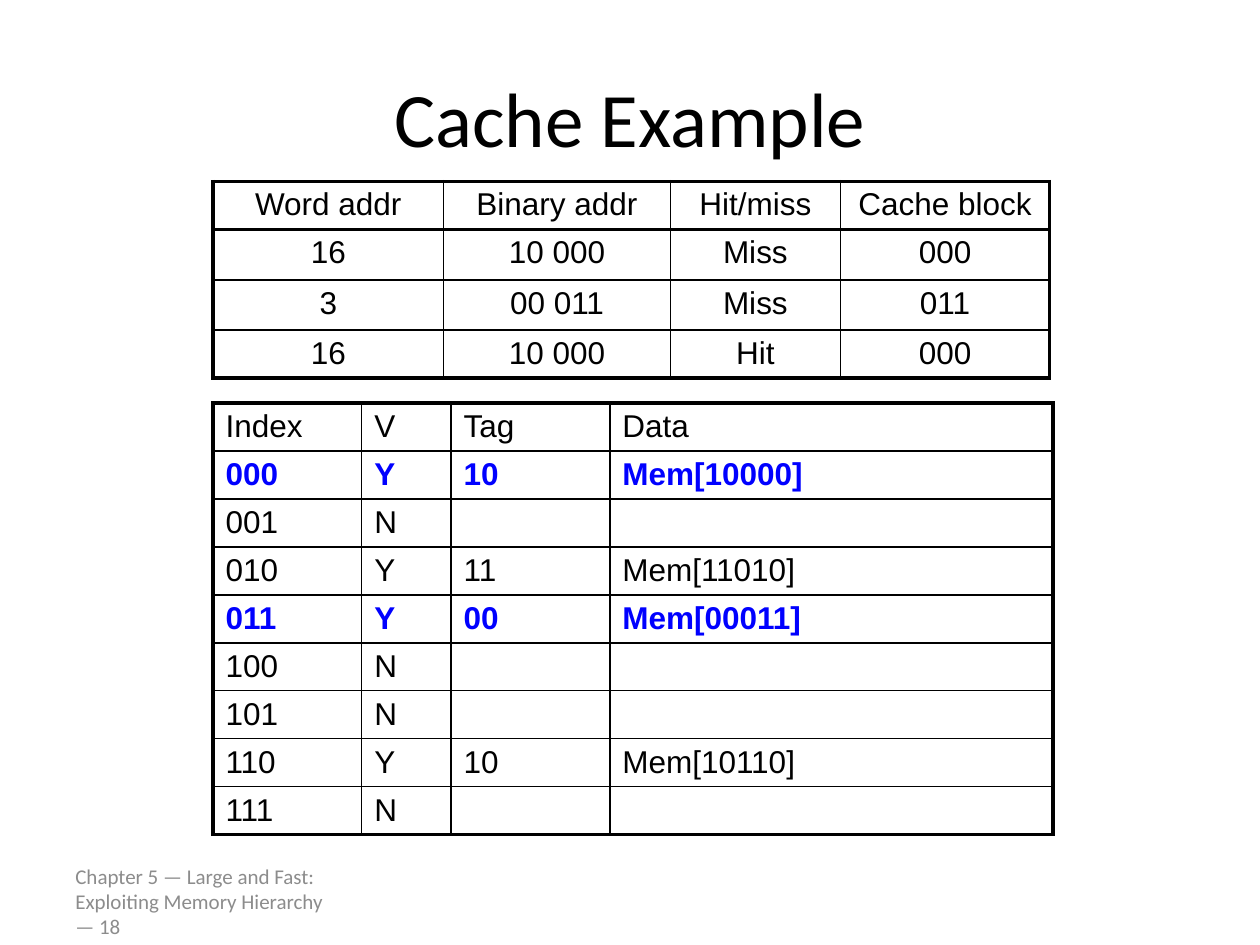
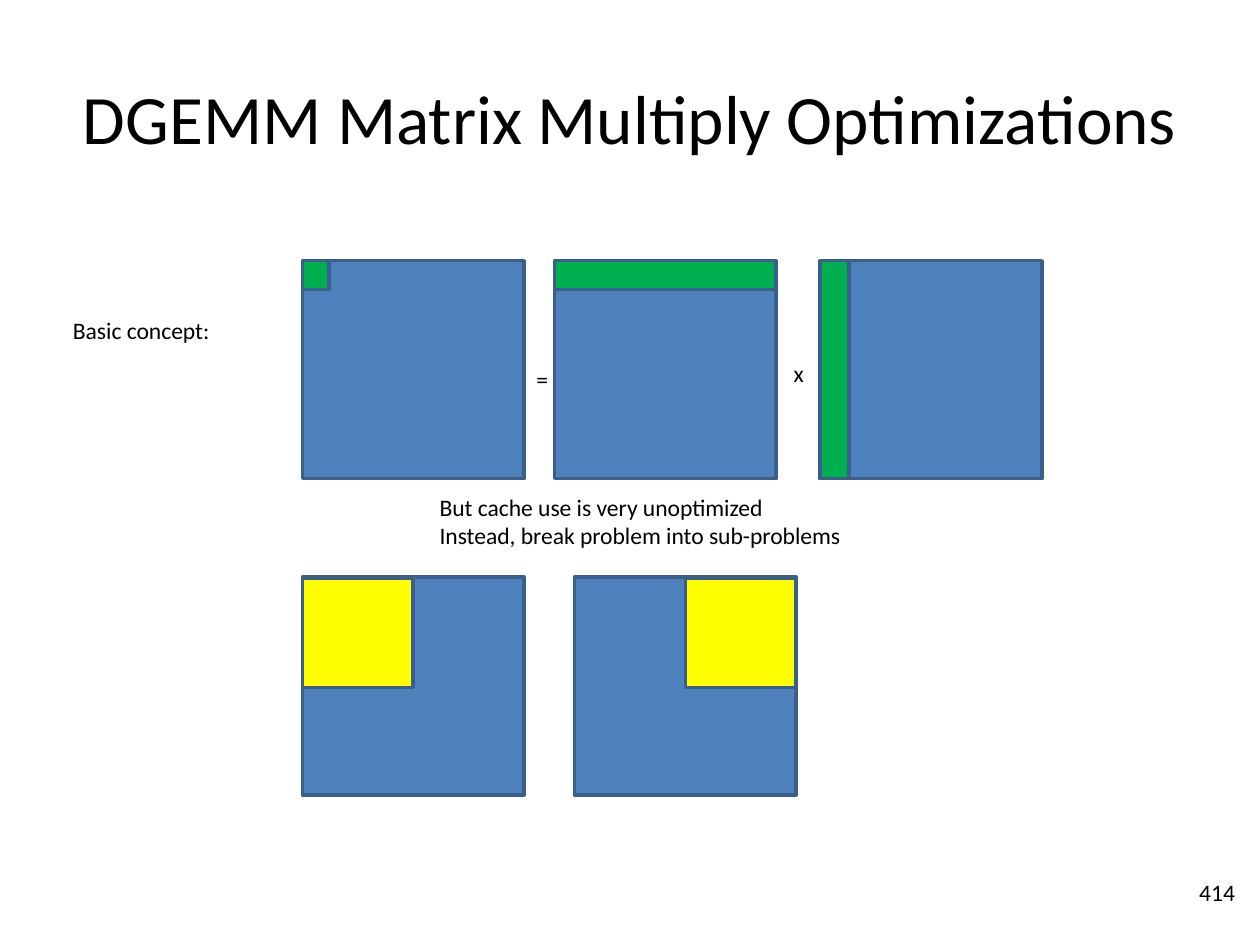
from dataclasses import dataclass

from lxml import etree
from pptx import Presentation
from pptx import util as u
from pptx.dml.color import RGBColor
from pptx.enum import shapes, text
from pptx.oxml import ns

Pt = u.Pt


@dataclass(frozen=True)
class Theme:
    heading_font: str = "Calibri"
    table_font: str = "Arial"
    ink: str = "000000"
    muted: str = "8C8C8C"
    changed: str = "0000FF"
    matrix: str = "4F81BD"
    outline: str = "3A5F8C"
    element: str = "00B050"
    block: str = "FFFF00"
    title_size: float = 44
    long_title_size: float = 39.6
    table_size: float = 18
    label_size: float = 13.5
    footer_size: float = 12
    frame_line: float = 2.25
    rule_line: float = 1.5
    thin_line: float = 1
    shape_line: float = 2


THEME = Theme()
TITLE_BOX = (36, 21.6, 648, 90)

CACHE_TITLE = "Cache Example"
CACHE_FOOTER = "Chapter 5 — Large and Fast: Exploiting Memory Hierarchy — 18"
FOOTER_BOX = (36, 500.4, 167.8, 28.8)
TABLE_LEFT = 121.7
ACCESSES = [
    ("Word addr", "Binary addr", "Hit/miss", "Cache block"),
    ("16", "10 000", "Miss", "000"),
    ("3", "00 011", "Miss", "011"),
    ("16", "10 000", "Hit", "000"),
]
ACCESS_COLUMNS = (131.8, 129.6, 97.2, 119.5)
ACCESS_ROWS = (27.4, 28.8, 28.8, 27.4)
CACHE_STATE = [
    ("Index", "V", "Tag", "Data"),
    ("000", "Y", "10", "Mem[10000]"),
    ("001", "N", "", ""),
    ("010", "Y", "11", "Mem[11010]"),
    ("011", "Y", "00", "Mem[00011]"),
    ("100", "N", "", ""),
    ("101", "N", "", ""),
    ("110", "Y", "10", "Mem[10110]"),
    ("111", "N", "", ""),
]
CHANGED_ROWS = {1, 4}
STATE_COLUMNS = (85, 51.1, 90.7, 253.4)
STATE_ROWS = (27.4,) * len(CACHE_STATE)

DGEMM_TITLE = "DGEMM Matrix Multiply Optimizations"
MATRIX_WIDTH, MATRIX_HEIGHT = 126.7, 124.6
STRIP = 16.6
BLOCK_WIDTH, BLOCK_HEIGHT = MATRIX_WIDTH / 2, MATRIX_HEIGHT / 2
PRODUCT_TOP, BLOCK_TOP = 149, 329.8
MATRICES = [
    (172.8, PRODUCT_TOP, (0, 0, 15.1, STRIP), THEME.element),
    (316.8, PRODUCT_TOP, (0, 0, MATRIX_WIDTH, STRIP), THEME.element),
    (468.7, PRODUCT_TOP, (0, 0, STRIP, MATRIX_HEIGHT), THEME.element),
    (172.8, BLOCK_TOP, (0, 0.7, BLOCK_WIDTH, BLOCK_HEIGHT), THEME.block),
    (328.3, BLOCK_TOP, (BLOCK_WIDTH, 0.7, BLOCK_WIDTH, BLOCK_HEIGHT), THEME.block),
]
LABELS = [
    (["x"], (446.4, 201.6, 20.2, 23.8)),
    (["="], (299.5, 205.2, 21.6, 23.8)),
    (["Basic concept:"], (34.6, 177.1, 93.6, 23.8)),
    (["But cache use is very unoptimized",
      "Instead, break problem into sub-problems"], (244.1, 277.9, 247, 40.3)),
    (["414"], (678.2, 498.2, 35.3, 23.8)),
]


def style_font(font, name, size, color, bold=False):
    font.name = name
    font.size = Pt(size)
    font.bold = bold
    font.color.rgb = RGBColor.from_string(color)


def add_text(slide, lines, box, size, color=THEME.ink, wrap=True,
             anchor=text.MSO_ANCHOR.MIDDLE, align=text.PP_ALIGN.LEFT):
    frame = slide.shapes.add_textbox(*map(Pt, box)).text_frame
    frame.word_wrap = wrap
    frame.vertical_anchor = anchor
    frame.text = "\n".join(lines)
    for paragraph in frame.paragraphs:
        paragraph.alignment = align
        style_font(paragraph.font, THEME.heading_font, size, color)
    return frame


def add_title(slide, title, size):
    add_text(slide, [title], TITLE_BOX, size, align=text.PP_ALIGN.CENTER)


def add_rectangle(slide, box, color):
    shape = slide.shapes.add_shape(shapes.MSO_SHAPE.RECTANGLE, *map(Pt, box))
    shape.shadow.inherit = False
    shape.fill.solid()
    shape.fill.fore_color.rgb = RGBColor.from_string(color)
    shape.line.color.rgb = RGBColor.from_string(THEME.outline)
    shape.line.width = Pt(THEME.shape_line)


def set_borders(cell, widths):
    properties = cell._tc.get_or_add_tcPr()
    for position, (side, width) in enumerate(zip("LRTB", widths)):
        line = etree.Element(ns.qn(f"a:ln{side}"), w=str(int(Pt(width))))
        fill = etree.SubElement(line, ns.qn("a:solidFill"))
        etree.SubElement(fill, ns.qn("a:srgbClr"), val=THEME.ink)
        properties.insert(position, line)


def add_grid(slide, rows, top, columns, heights, align, row_line, changed=()):
    table = slide.shapes.add_table(
        len(rows), len(columns), Pt(TABLE_LEFT), Pt(top),
        Pt(sum(columns)), Pt(sum(heights))).table
    table.first_row = table.horz_banding = False
    for column, width in zip(table.columns, columns):
        column.width = Pt(width)
    for row, height in zip(table.rows, heights):
        row.height = Pt(height)

    edge, thin = THEME.frame_line, THEME.thin_line
    vertical = [edge] + [thin] * (len(columns) - 1) + [edge]
    horizontal = [edge, THEME.rule_line] + [row_line] * (len(rows) - 2) + [edge]
    for r, row in enumerate(rows):
        for c, value in enumerate(row):
            cell = table.cell(r, c)
            cell.fill.background()
            cell.margin_top, cell.margin_bottom = Pt(3.4), Pt(1.5)
            cell.text = value
            paragraph = cell.text_frame.paragraphs[0]
            paragraph.alignment = align
            color = THEME.changed if r in changed else THEME.ink
            style_font(paragraph.font, THEME.table_font, THEME.table_size,
                       color, r in changed)
            set_borders(cell, (*vertical[c:c + 2], *horizontal[r:r + 2]))


def build_cache_slide(slide):
    add_text(slide, [CACHE_FOOTER], FOOTER_BOX, THEME.footer_size, THEME.muted)
    add_title(slide, CACHE_TITLE, THEME.title_size)
    add_grid(slide, CACHE_STATE, 230.4, STATE_COLUMNS, STATE_ROWS,
             text.PP_ALIGN.LEFT, THEME.thin_line, CHANGED_ROWS)
    add_grid(slide, ACCESSES, 103.7, ACCESS_COLUMNS, ACCESS_ROWS,
             text.PP_ALIGN.CENTER, THEME.rule_line)


def build_dgemm_slide(slide):
    add_title(slide, DGEMM_TITLE, THEME.long_title_size)
    for left, top, (x, y, width, height), color in MATRICES:
        add_rectangle(slide, (left, top, MATRIX_WIDTH, MATRIX_HEIGHT), THEME.matrix)
        add_rectangle(slide, (left + x, top + y, width, height), color)
    for lines, box in LABELS:
        frame = add_text(slide, lines, box, THEME.label_size, wrap=False,
                         anchor=text.MSO_ANCHOR.TOP)
        frame.auto_size = text.MSO_AUTO_SIZE.SHAPE_TO_FIT_TEXT


def main():
    presentation = Presentation()
    presentation.slide_width, presentation.slide_height = Pt(720), Pt(540)
    blank = presentation.slide_layouts[6]
    for build in (build_cache_slide, build_dgemm_slide):
        build(presentation.slides.add_slide(blank))
    presentation.save("out.pptx")


if __name__ == "__main__":
    main()
